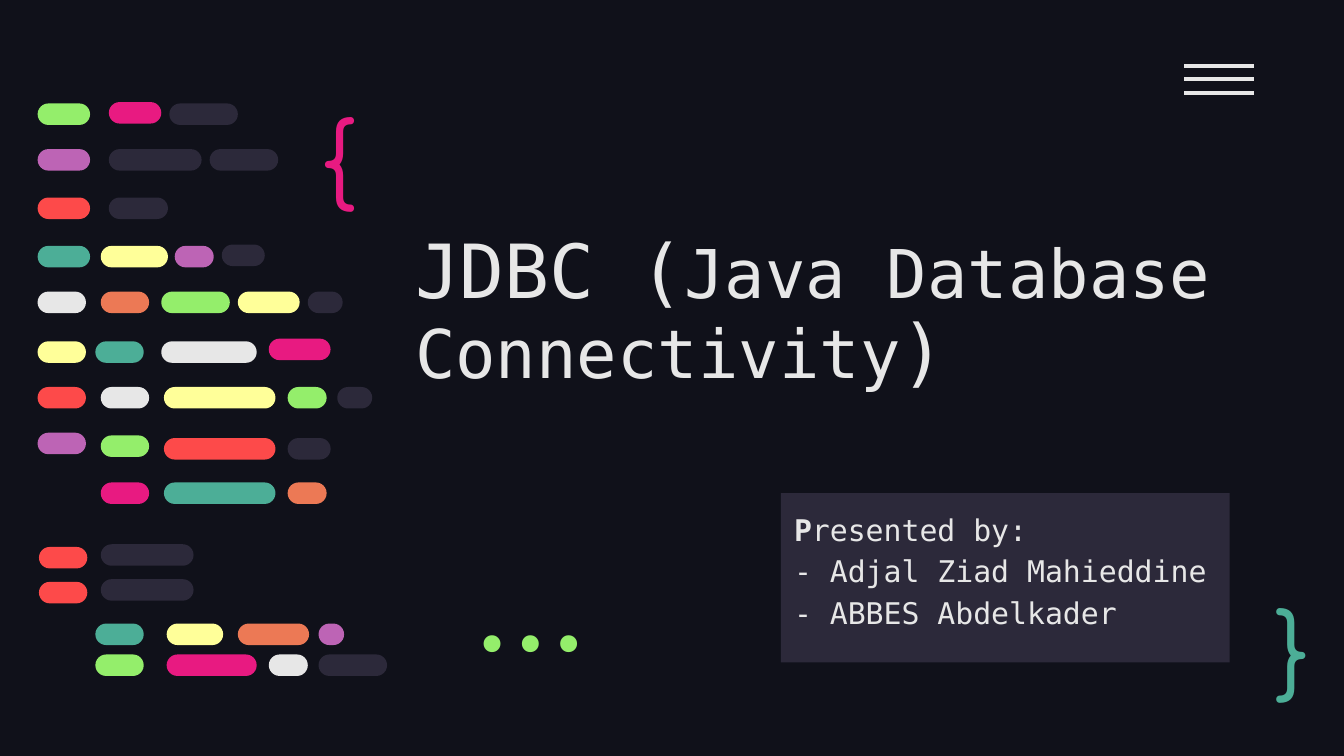
import pptx
import pptx.util
import pptx.dml.color
import pptx.enum.shapes
import pptx.enum.text
import pptx.oxml.ns
import lxml.etree

Inches = pptx.util.Inches
Pt = pptx.util.Pt
KIND = pptx.enum.shapes.MSO_SHAPE
ANCHOR = pptx.enum.text.MSO_ANCHOR
ALIGN = pptx.enum.text.PP_ALIGN
MONO = "DejaVu Sans Mono"

hues = {
    "night": "10111A", "dark": "2C293A", "white": "E7E7E7", "green": "94EE6B",
    "pink": "E81A81", "purple": "BD64B5", "red": "FD4A4A", "teal": "4CAE97",
    "yellow": "FFFF99", "orange": "EC7955",
}


def paint(target, hue):
    if hasattr(target, "solid"):
        target.solid()
        target = target.fore_color
    target.rgb = pptx.dml.color.RGBColor.from_string(hues[hue])


def write(box, lines, font, size, hue, anchor, align=ALIGN.LEFT, gap=1.0):
    frame = box.text_frame
    frame.word_wrap = True
    frame.vertical_anchor = anchor
    frame.margin_left = frame.margin_right = Inches(0.1)
    frame.margin_top = frame.margin_bottom = Inches(0.1)
    for i, runs in enumerate(lines):
        para = frame.add_paragraph() if i else frame.paragraphs[0]
        para.alignment = align
        para.line_spacing = gap
        para.font.name = font
        para.font.size = Pt(size)
        paint(para.font.color, hue)
        for text in runs:
            para.add_run().text = text
    return frame


deck = pptx.Presentation()
deck.slide_width = Inches(10)
deck.slide_height = Inches(10 * 9 / 16)
slide = deck.slides.add_slide(deck.slide_layouts[6])
paint(slide.background.fill, "night")
shapes = slide.shapes

title = shapes.add_textbox(Inches(2.99), Inches(1.38), Inches(6.34), Inches(1.66))
frame = write(title, [["JDBC (", "Java Database Connectivity", ")"]],
              MONO, 40, "white", ANCHOR.BOTTOM, gap=0.9)
frame.paragraphs[0].runs[1].font.size = Pt(36)

panel = shapes.add_shape(KIND.RECTANGLE, Inches(5.81), Inches(3.67), Inches(3.34), Inches(1.26))
panel.shadow.inherit = False
paint(panel.fill, "dark")
panel.line.fill.background()
names = [["P", "resented by:"], ["- Adjal Ziad Mahieddine"], ["- ABBES Abdelkader"]]
frame = write(panel, names, MONO, 16, "white", ANCHOR.TOP, gap=1.15)
frame.paragraphs[0].runs[0].font.bold = True

marks = [
    ("{", 2.29, 0.62, 0.77, 0.95, "Comfortaa", "pink", ANCHOR.TOP, ALIGN.LEFT),
    ("}", 9.39, 4.38, 0.57, 0.83, "Comfortaa", "teal", ANCHOR.MIDDLE, ALIGN.LEFT),
    ("...", 3.11, 4.49, 1.58, 0.6, "Fira Code", "green", ANCHOR.BOTTOM, ALIGN.RIGHT),
]
for text, left, top, width, height, font, hue, anchor, align in marks:
    mark = shapes.add_textbox(Inches(left), Inches(top), Inches(width), Inches(height))
    write(mark, [[text]], font, 50, hue, anchor, align)

menu = shapes.add_group_shape()
for i in range(3):
    y = Inches(0.49 + 0.1 * i)
    bar = menu.shapes.add_connector(pptx.enum.shapes.MSO_CONNECTOR.STRAIGHT,
                                    Inches(8.81), y, Inches(9.33), y)
    paint(bar.line.fill, "white")
    bar.line.width = Pt(2.25)
    lxml.etree.SubElement(bar._element.spPr, pptx.oxml.ns.qn("a:effectLst"))

rows = [
    (0.77, [(0.28, 0.39, "green"), (1.26, 0.51, "dark")]),
    (0.76, [(0.81, 0.39, "pink")]),
    (1.11, [(0.28, 0.39, "purple"), (0.81, 0.69, "dark"), (1.56, 0.51, "dark")]),
    (1.47, [(0.28, 0.39, "red"), (0.81, 0.44, "dark")]),
    (1.83, [(0.28, 0.39, "teal"), (0.75, 0.5, "yellow"), (1.3, 0.29, "purple")]),
    (1.82, [(1.65, 0.32, "dark")]),
    (2.17, [(0.28, 0.36, "white"), (0.75, 0.36, "orange"), (1.2, 0.51, "green"),
            (1.77, 0.46, "yellow"), (2.29, 0.26, "dark")]),
    (2.54, [(0.28, 0.36, "yellow"), (0.71, 0.36, "teal"), (1.2, 0.71, "white")]),
    (2.52, [(2, 0.46, "pink")]),
    (2.88, [(0.28, 0.36, "red"), (0.75, 0.36, "white"), (1.22, 0.83, "yellow"),
            (2.14, 0.29, "green"), (2.51, 0.26, "dark")]),
    (3.22, [(0.28, 0.36, "purple")]),
    (3.24, [(0.75, 0.36, "green")]),
    (3.26, [(1.22, 0.83, "red"), (2.14, 0.32, "dark")]),
    (3.59, [(0.75, 0.36, "pink"), (1.22, 0.83, "teal"), (2.14, 0.29, "orange")]),
    (4.07, [(0.29, 0.36, "red")]),
    (4.05, [(0.75, 0.69, "dark")]),
    (4.33, [(0.29, 0.36, "red")]),
    (4.31, [(0.75, 0.69, "dark")]),
    (4.64, [(0.71, 0.36, "teal"), (1.24, 0.42, "yellow"), (1.77, 0.53, "orange"),
            (2.37, 0.19, "purple")]),
    (4.87, [(0.71, 0.36, "green"), (1.24, 0.67, "pink"), (2, 0.29, "white"),
            (2.37, 0.51, "dark")]),
]
code = shapes.add_group_shape()
for top, pills in rows:
    for left, width, hue in pills:
        pill = code.shapes.add_shape(KIND.ROUNDED_RECTANGLE, Inches(left), Inches(top),
                                     Inches(width), Inches(0.16))
        pill.adjustments[0] = 0.5
        pill.shadow.inherit = False
        paint(pill.fill, hue)
        pill.line.fill.background()

deck.save("out.pptx")
